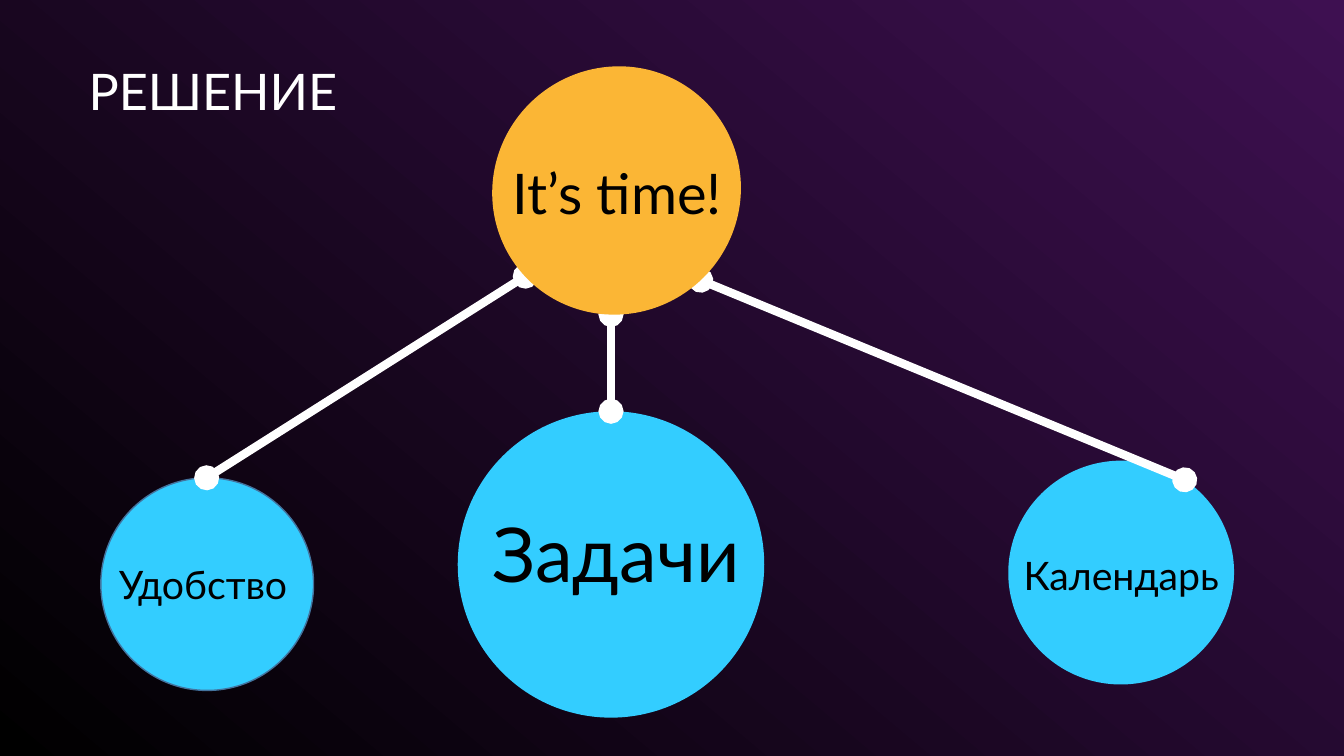
from lxml import etree
from pptx import Presentation
from pptx import util as u
from pptx.dml.color import RGBColor
from pptx.enum import shapes, text
from pptx.oxml.ns import qn

PX = 9144  # 100 px to the inch
COLOURS = {
    "black": "000000",
    "purple": "3E1051",
    "white": "FFFFFF",
    "blue": "33CDFF",
    "orange": "FBB635",
    "outline": "43739E",
}


def colour(name):
    return RGBColor.from_string(COLOURS[name])


def px(*lengths):
    return [u.Emu(length * PX) for length in lengths]


class SlideBuilder:
    font = "Lato"

    def __init__(self, presentation):
        self.slide = presentation.slides.add_slide(presentation.slide_layouts[6])

    def background(self, *names, angle):
        fill = self.slide.background.fill
        fill.gradient()
        fill.gradient_angle = angle
        for position, (stop, name) in enumerate(zip(fill.gradient_stops, names)):
            stop.position = position
            stop.color.rgb = colour(name)

    def circle(self, box, fill, rotation=0, outline=None):
        shape = self.slide.shapes.add_shape(shapes.MSO_SHAPE.OVAL, *px(*box))
        shape.shadow.inherit = False
        shape.rotation = rotation
        shape.fill.solid()
        shape.fill.fore_color.rgb = colour(fill)
        if outline:
            shape.line.color.rgb = colour(outline)
            shape.line.width = u.Pt(1)
        else:
            shape.line.fill.background()

    def link(self, start, end):
        connector = self.slide.shapes.add_connector(
            shapes.MSO_CONNECTOR.STRAIGHT, *px(*start, *end))
        connector.line.color.rgb = colour("white")
        connector.line.width = u.Pt(6)
        properties = connector._element.spPr
        for end_tag in ("a:headEnd", "a:tailEnd"):
            etree.SubElement(properties.find(qn("a:ln")), qn(end_tag), type="oval")
        etree.SubElement(properties, qn("a:effectLst"))

    def label(self, box, words, size, ink="black", frame_format=None, **paragraph_format):
        frame = self.slide.shapes.add_textbox(*px(*box)).text_frame
        frame_format = frame_format or {"auto_size": text.MSO_AUTO_SIZE.SHAPE_TO_FIT_TEXT}
        paragraph = frame.paragraphs[0]
        paragraph.text = words
        font = {"name": self.font, "size": u.Pt(size)}
        for target, values in (
            (frame, {"word_wrap": True, **frame_format}),
            (paragraph, paragraph_format),
            (paragraph.font, font),
        ):
            for name, value in values.items():
                setattr(target, name, value)
        paragraph.font.color.rgb = colour(ink)


def main():
    presentation = Presentation()
    presentation.slide_width, presentation.slide_height = px(1333, 750)
    builder = SlideBuilder(presentation)
    centred = {"alignment": text.PP_ALIGN.CENTER}

    # Background and title
    builder.background("black", "purple", angle=50)
    builder.label((78, 78, 1135, 39), "РЕШЕНИЕ", 36, "white",
                  {"vertical_anchor": text.MSO_ANCHOR.MIDDLE}, line_spacing=0.7)

    # Calendar and tasks
    builder.circle((1000, 457, 224, 222), "blue", rotation=348.9)
    builder.circle((454, 408, 304, 304), "blue")
    builder.label((457, 498, 308, 101), "Задачи", 54, **centred)
    builder.link((606, 312), (606, 408))
    builder.link((1175, 476), (695, 278))
    builder.label((996, 542, 232, 57), "Календарь", 28, **centred)

    # Convenience
    builder.circle((100, 474, 211, 211), "blue", outline="outline")
    builder.link((521, 274), (205, 474))
    builder.label((108, 551, 206, 57), "Удобство", 28)

    # Central idea, over the ends of the links
    builder.circle((487, 67, 249, 244), "orange", rotation=316.8)
    builder.label((491, 152, 242, 77), "It’s time!", 40, **centred)

    presentation.save("out.pptx")


if __name__ == "__main__":
    main()
